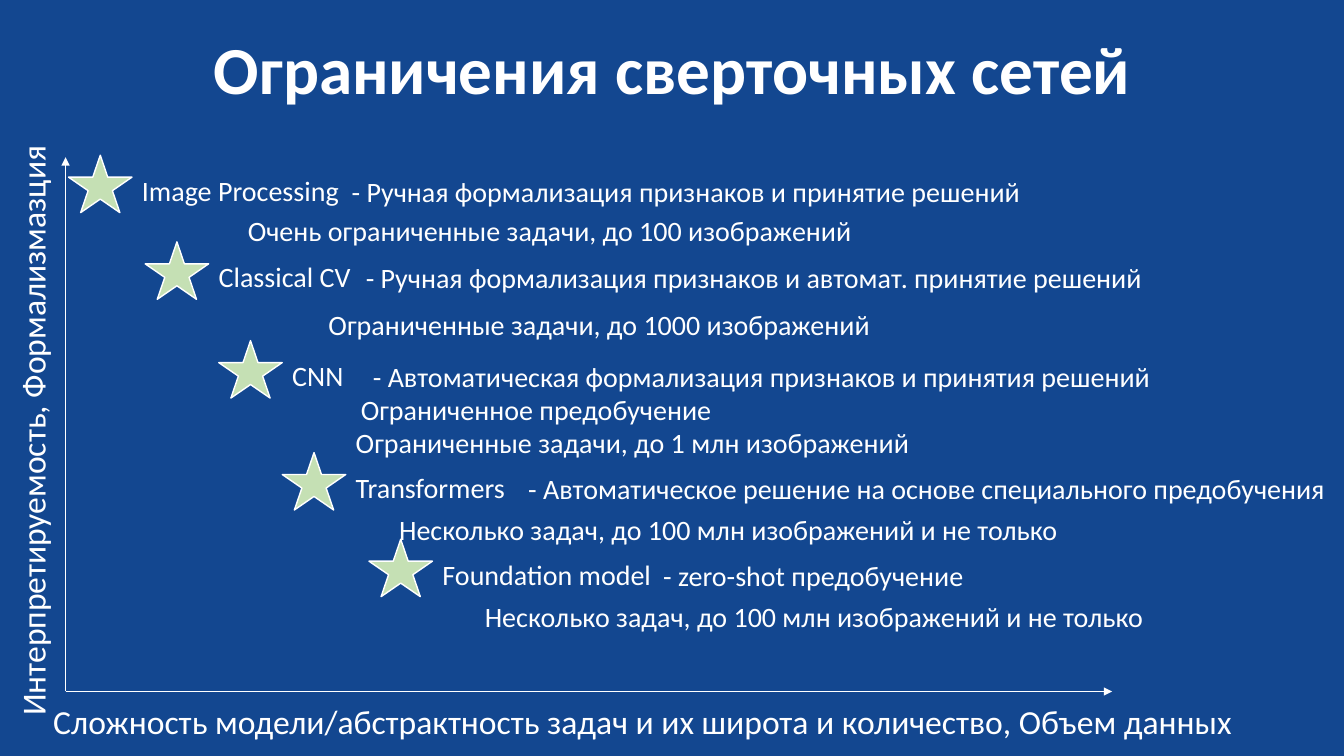
from pptx import Presentation
from pptx.dml.color import RGBColor
from pptx.enum.shapes import MSO_CONNECTOR, MSO_SHAPE
from pptx.enum.text import MSO_ANCHOR, PP_ALIGN
from pptx.oxml.ns import qn
from pptx.util import Inches, Pt
from lxml import etree

WHITE, BLUE, GREEN = "FFFFFF", "134790", "C5E0B4"
FONT = "Calibri"
STAR_W, STAR_H = 0.63, 0.57

# star left, star top, name, name width, description left, width, description
APPROACHES = [
    (0.68, 1.54, "Image Processing", 2.17, 3.39, 7.57,
     "- Ручная формализация признаков и принятие решений"),
    (1.44, 2.4, "Classical CV", 1.52, 3.53, 8.35,
     "- Ручная формализация признаков и автомат. принятие решений"),
    (2.17, 3.38, "CNN", 0.71, 3.6, 8.13,
     "- Автоматическая формализация признаков и принятия решений"),
    (2.8, 4.49, "Transformers", 1.76, 5.14, 8.53,
     "- Автоматическое решение на основе специального предобучения"),
    (3.66, 5.35, "Foundation model", 2.42, 6.48, 8.13,
     "- zero-shot предобучение"),
]

# left, top, width, text
LIMITS = [
    (2.36, 2.07, 6.63, "Очень ограниченные задачи, до 100 изображений"),
    (3.16, 3, 6.63, "Ограниченные задачи, до 1000 изображений"),
    (3.48, 3.84, 6.63, "Ограниченное предобучение"),
    (3.43, 4.17, 6.63, "Ограниченные задачи, до 1 млн изображений"),
    (3.86, 5.04, 7.6, "Несколько задач, до 100 млн изображений и не только"),
    (4.71, 5.9, 7.6, "Несколько задач, до 100 млн изображений и не только"),
]


def rgb(value):
    return RGBColor.from_string(value)


def set_font(p, size, bold=False):
    p.font.name = FONT
    p.font.size = Pt(size)
    p.font.bold = bold
    p.font.color.rgb = rgb(WHITE)


def add_title(s, text):
    title = s.shapes.title
    title.left, title.top = Inches(0.92), Inches(0.4)
    title.width, title.height = Inches(11.5), Inches(0.64)
    tf = title.text_frame
    tf.text = text
    tf.vertical_anchor = MSO_ANCHOR.MIDDLE
    p = tf.paragraphs[0]
    p.alignment = PP_ALIGN.CENTER
    p.line_spacing = 0.9
    set_font(p, 48, bold=True)


def add_text(s, left, top, width, text, size=20, height=0.44, wrap=True):
    box = s.shapes.add_textbox(Inches(left), Inches(top), Inches(width), Inches(height))
    tf = box.text_frame
    tf.word_wrap = wrap
    tf.text = text
    set_font(tf.paragraphs[0], size)
    return box


def add_axis(s, x, y):
    """Draw an arrow from the chart's origin to the given point."""
    axis = s.shapes.add_connector(MSO_CONNECTOR.STRAIGHT, Inches(0.65), Inches(6.86),
                                  Inches(x), Inches(y))
    axis.line.color.rgb = rgb(WHITE)
    axis.line.width = Pt(0.5)
    etree.SubElement(axis.line._get_or_add_ln(), qn("a:tailEnd"), type="triangle")
    etree.SubElement(axis._element.spPr, qn("a:effectLst"))


def add_star(s, left, top):
    star = s.shapes.add_shape(MSO_SHAPE.STAR_5_POINT, Inches(left), Inches(top),
                              Inches(STAR_W), Inches(STAR_H))
    star.shadow.inherit = False
    star.fill.solid()
    star.fill.fore_color.rgb = rgb(GREEN)
    star.line.color.rgb = rgb(WHITE)
    star.line.width = Pt(1)


def add_approach(s, left, top, name, name_width, text_left, text_width, text):
    add_star(s, left, top)
    add_text(s, left + STAR_W, top + 0.13, name_width, name, wrap=False)
    add_text(s, text_left, top + 0.14, text_width, text)


def main():
    prs = Presentation()
    prs.slide_width, prs.slide_height = Inches(13.33), Inches(7.5)
    s = prs.slides.add_slide(prs.slide_layouts[5])
    s.background.fill.solid()
    s.background.fill.fore_color.rgb = rgb(BLUE)

    add_title(s, "Ограничения сверточных сетей")
    add_axis(s, 0.65, 1.56)
    add_axis(s, 11.03, 6.86)
    add_text(s, 0.43, 6.9, 12.07,
             "Сложность модели/абстрактность задач и их широта и количество, Объем данных",
             size=24, height=0.5, wrap=False)
    label = add_text(s, -2.64, 3.99, 5.92, "Интерпретируемость, Формализмазция",
                     size=24, height=0.5, wrap=False)
    label.rotation = 270

    for approach in APPROACHES:
        add_approach(s, *approach)
    for limit in LIMITS:
        add_text(s, *limit)

    prs.save("out.pptx")


if __name__ == "__main__":
    main()
